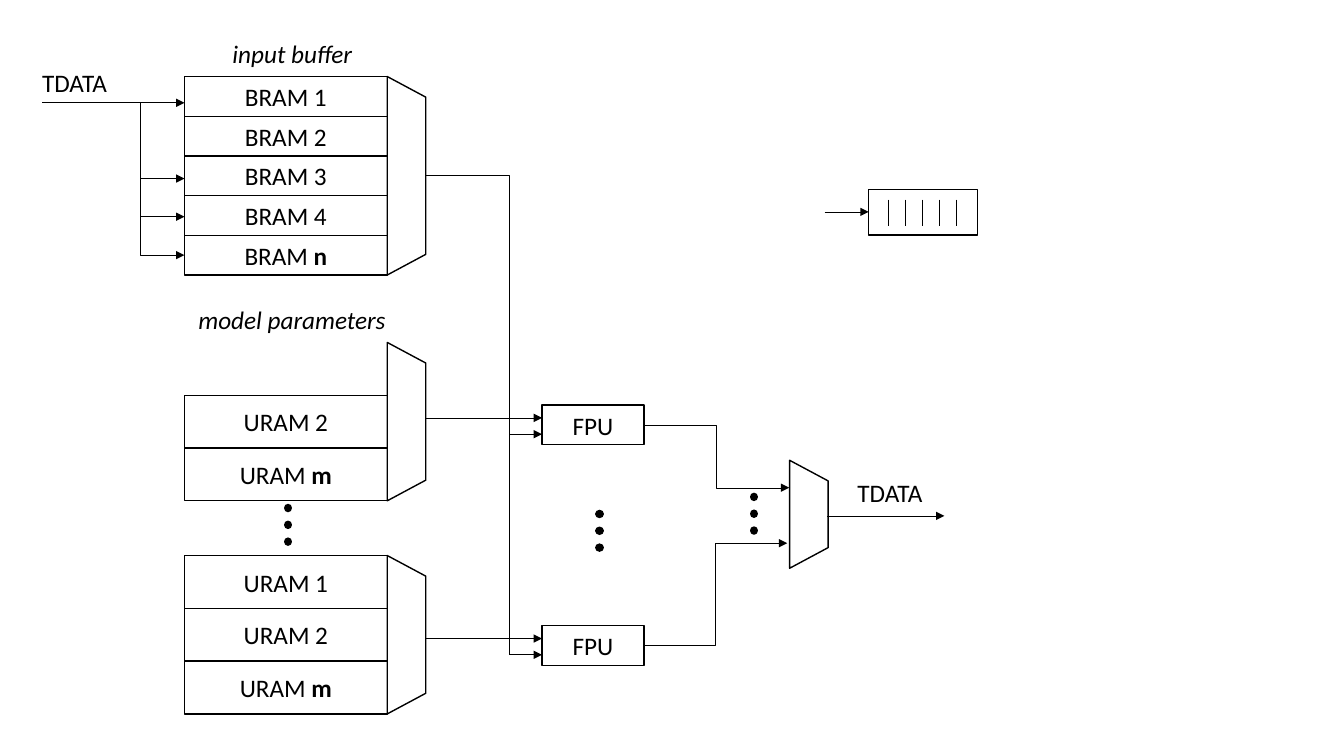
from lxml.etree import SubElement
from pptx import Presentation
from pptx.dml.color import RGBColor
from pptx.enum.dml import MSO_LINE
from pptx.enum.shapes import MSO_CONNECTOR as Connector, MSO_SHAPE as Shape
from pptx.enum.text import MSO_ANCHOR as Anchor, MSO_AUTO_SIZE as AutoSize, PP_ALIGN as Align
from pptx.oxml.ns import qn
from pptx.util import Cm, Pt

COLORS = {"ink": "000000"}
STACK_LEFT, STACK_WIDTH = 4.65, 5.11
MUX_WIDTH = 0.97
BRAM_TOP, BRAM_HEIGHT = 1.93, 1
URAM_HEIGHT = 1.33
FPU_LEFT, FPU_WIDTH, FPU_HEIGHT = 13.66, 2.57, 1
BUS_X = 12.83
MUX_OUT = 10.72
FORK_X = 3.53


class Diagram:
    """Holds the style and the current slide, and draws the block diagram parts."""

    def __init__(self, slide):
        self.slide = slide
        self.shapes = slide.shapes
        self.font_name = "Calibri"
        self.font_size = Pt(18)
        self.ink = RGBColor.from_string(COLORS["ink"])

    def style_runs(self, paragraph, italic=False):
        for run in paragraph.runs:
            run.font.name = self.font_name
            run.font.size = self.font_size
            run.font.color.rgb = self.ink
            run.font.italic = italic

    def outline(self, kind, left, top, width, height):
        shape = self.shapes.add_shape(kind, Cm(left), Cm(top), Cm(width), Cm(height))
        shape.shadow.inherit = False
        shape.fill.background()
        shape.line.color.rgb = self.ink
        shape.line.width = Pt(1)
        return shape

    def block(self, left, top, width, height, text="", bold_end=""):
        shape = self.outline(Shape.RECTANGLE, left, top, width, height)
        frame = shape.text_frame
        frame.word_wrap = False
        frame.vertical_anchor = Anchor.MIDDLE
        paragraph = frame.paragraphs[0]
        paragraph.text = text
        paragraph.alignment = Align.CENTER
        if bold_end:
            run = paragraph.add_run()
            run.text = bold_end
            run.font.bold = True
        self.style_runs(paragraph)

    def stack(self, top, height, rows):
        for index, row in enumerate(rows):
            self.block(STACK_LEFT, top + index * height, STACK_WIDTH, height, *row)

    def mux(self, left, top, height):
        shift = (height - MUX_WIDTH) / 2
        shape = self.outline(Shape.TRAPEZOID, left - shift, top + shift, height, MUX_WIDTH)
        shape.adjustments[0] = 0.536
        shape.rotation = 90

    def label(self, left, top, width, text, italic=False):
        box = self.shapes.add_textbox(Cm(left), Cm(top), Cm(width), Cm(1.02))
        frame = box.text_frame
        frame.text = text
        frame.word_wrap = False
        frame.auto_size = AutoSize.SHAPE_TO_FIT_TEXT
        self.style_runs(frame.paragraphs[0], italic)

    def wire(self, begin, end, arrow=None, kind=Connector.STRAIGHT, width=0.5):
        connector = self.shapes.add_connector(kind, *map(Cm, begin + end))
        connector.line.color.rgb = self.ink
        connector.line.width = Pt(width)
        properties = connector.element.spPr
        if arrow:
            SubElement(properties.find(qn("a:ln")), qn(f"a:{arrow}End"), type="triangle")
        SubElement(properties, qn("a:effectLst"))
        return connector

    def corner(self, begin, end, arrow=None):
        connector = self.wire(begin, end, arrow, Connector.ELBOW)
        connector.element.spPr.find(qn("a:prstGeom")).set("prst", "bentConnector2")

    def ellipsis(self, x, top):
        connector = self.wire((x, top), (x, top + 1.04), width=6)
        connector.line.dash_style = MSO_LINE.ROUND_DOT
        connector.element.spPr.find(qn("a:ln")).set("cap", "rnd")

    def register(self, left, top):
        self.shapes = self.slide.shapes.add_group_shape().shapes
        self.block(left, top, 2.74, 1.14)
        for index in range(5):
            x = left + 0.49 + index * 0.43
            self.wire((x, top + 0.25), (x, top + 0.91))
        self.shapes = self.slide.shapes


def main():
    presentation = Presentation()
    presentation.slide_width = Cm(33.87)
    presentation.slide_height = Cm(19.05)
    diagram = Diagram(presentation.slides.add_slide(presentation.slide_layouts[6]))

    diagram.stack(BRAM_TOP, BRAM_HEIGHT,
                  [("BRAM 1",), ("BRAM 2",), ("BRAM 3",), ("BRAM 4",), ("BRAM ", "n")])
    uram_rows = [("URAM 1",), ("URAM 2",), ("URAM ", "m")]
    diagram.stack(9.96, URAM_HEIGHT, uram_rows[1:])
    diagram.stack(14, URAM_HEIGHT, uram_rows)

    for left, top, height in [(9.76, BRAM_TOP, 5), (9.76, 8.63, 3.99),
                              (9.76, 14, 3.99), (19.9, 11.6, 2.72)]:
        diagram.mux(left, top, height)

    for left, top, width, text, italic in [
        (5.61, 0.84, 3.58, "input buffer", True),
        (4.75, 7.54, 5.28, "model parameters", True),
        (0.81, 1.57, 2.16, "TDATA", False),
        (21.36, 11.91, 2.16, "TDATA", False),
    ]:
        diagram.label(left, top, width, text, italic)

    for top, exit_end in [(10.21, (19.89, 12.29)), (15.77, (19.84, 13.69))]:
        diagram.block(FPU_LEFT, top, FPU_WIDTH, FPU_HEIGHT, "FPU")
        diagram.wire((MUX_OUT, top + 0.32), (FPU_LEFT, top + 0.32), "tail")
        diagram.wire((BUS_X, top + 0.73), (FPU_LEFT, top + 0.73), "tail")
        diagram.wire((FPU_LEFT + FPU_WIDTH, top + 0.5), exit_end, "tail", Connector.ELBOW, 0.25)

    for start, end, y in [(1.07, STACK_LEFT, 2.59), (FORK_X, STACK_LEFT, 4.5),
                          (FORK_X, STACK_LEFT, 5.46), (20.85, 23.8, 13), (20.78, 21.89, 5.34)]:
        diagram.wire((start, y), (end, y), "tail")
    diagram.corner((STACK_LEFT, 6.43), (FORK_X, 2.59), "head")
    diagram.corner((MUX_OUT, 4.42), (BUS_X, 16.5))

    for x, top in [(7.26, 12.8), (15.11, 12.95), (19, 12.52)]:
        diagram.ellipsis(x, top)
    diagram.register(21.89, 4.78)

    presentation.save("out.pptx")


if __name__ == "__main__":
    main()
